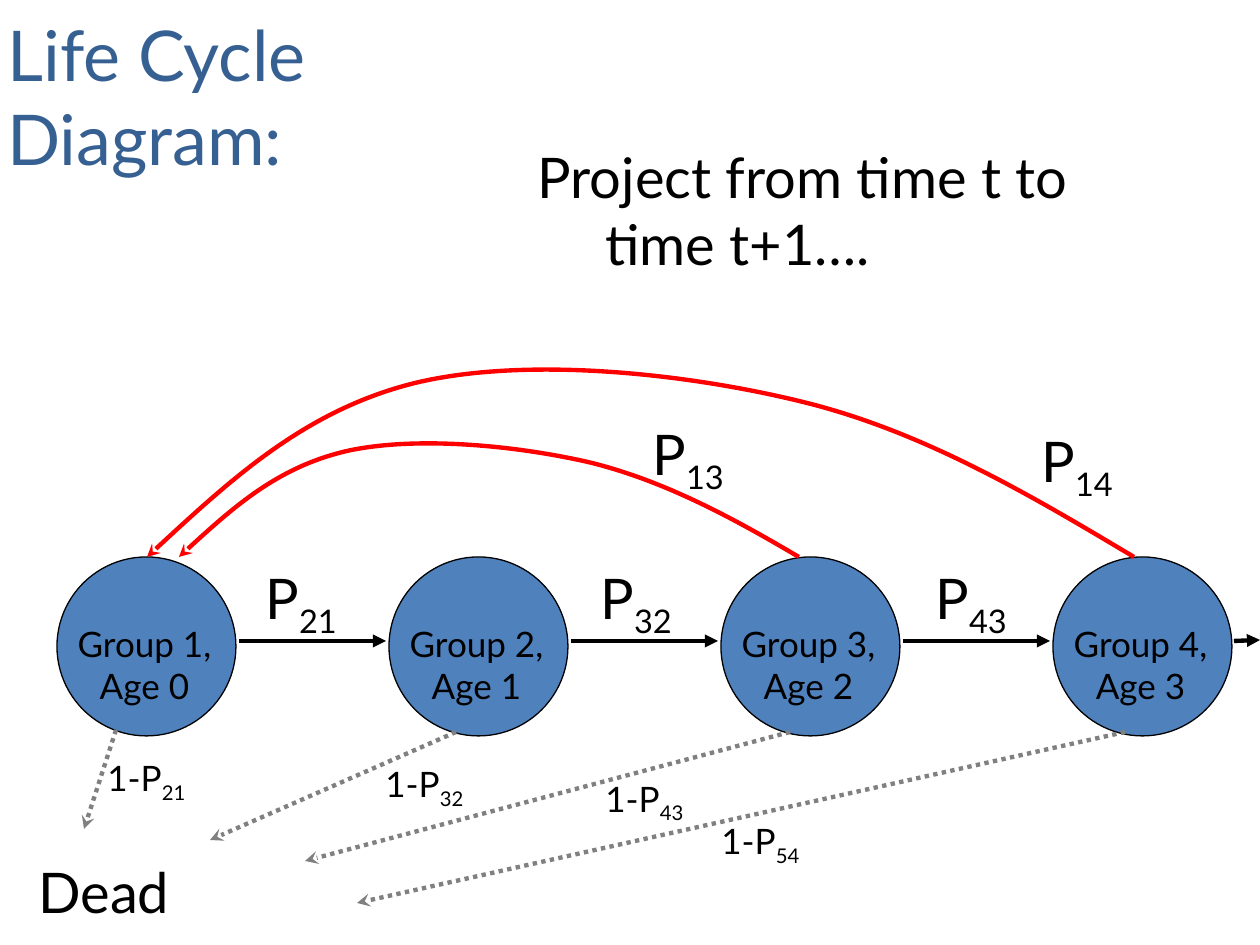
from lxml.etree import SubElement
from pptx import Presentation
from pptx.dml.color import RGBColor
from pptx.enum.dml import MSO_LINE
from pptx.enum.shapes import MSO_CONNECTOR, MSO_SHAPE
from pptx.enum.text import MSO_AUTO_SIZE, PP_ALIGN
from pptx.oxml.ns import qn
from pptx.util import Pt

PX = 914400 / 126
BLACK, BLUE, NAVY, RED, GRAY = "000000", "4F81BD", "376092", "FF0000", "808080"


def px(length):
    return round(length * PX)


def color(hex_string):
    return RGBColor.from_string(hex_string)


class LifeCycleSlide:
    font = "Lato"
    stroke = 2.5
    hanging = 68

    def __init__(self, presentation):
        self.slide = presentation.slides.add_slide(presentation.slide_layouts[6])
        self.shapes = self.slide.shapes

    def text(self, box, paragraphs, size, fill=BLACK, wrap=False,
             centered=False, hanging=True, within=None):
        target = within.shapes if within else self.shapes
        frame = target.add_textbox(*map(px, box)).text_frame
        frame.word_wrap = wrap
        frame.auto_size = MSO_AUTO_SIZE.SHAPE_TO_FIT_TEXT
        for index, runs in enumerate(paragraphs):
            paragraph = frame.add_paragraph() if index else frame.paragraphs[0]
            if centered:
                paragraph.alignment = PP_ALIGN.CENTER
            if hanging:
                properties = paragraph._p.get_or_add_pPr()
                properties.set("marL", str(px(self.hanging)))
                properties.set("indent", str(-px(self.hanging)))
            for position, words in enumerate(runs):
                run = paragraph.add_run()
                run.text = words
                run.font.name = self.font
                run.font.size = Pt(size)
                run.font.color.rgb = color(fill)
                if position:
                    run.font._element.set("baseline", "-25000")

    def circle(self, box, within):
        disc = within.shapes.add_shape(MSO_SHAPE.OVAL, *map(px, box))
        disc.shadow.inherit = False
        disc.fill.solid()
        disc.fill.fore_color.rgb = color(BLUE)
        disc.line.color.rgb = color(BLACK)
        disc.line.width = Pt(0.75)

    def stage(self, left, top, size, label):
        group = self.shapes.add_group_shape()
        self.circle((left, top, size, size), group)
        self.text((left - 4, top + 59, size + 4, 97), [[label]], 20, wrap=True,
                  centered=True, hanging=False, within=group)

    def style_line(self, line, fill, head):
        line.color.rgb = color(fill)
        line.width = Pt(self.stroke)
        SubElement(line._get_or_add_ln(), qn("a:tailEnd"), type=head)

    def arrow(self, start, end, fill=BLACK, head="triangle", dash=None):
        connector = self.shapes.add_connector(
            MSO_CONNECTOR.STRAIGHT, *map(px, start + end))
        if dash:
            connector.line.dash_style = dash
        self.style_line(connector.line, fill, head)
        SubElement(connector._element.spPr, qn("a:effectLst"))

    def curve(self, points):
        builder = self.shapes.build_freeform(*points[0], scale=PX)
        builder.add_line_segments(points[1:], close=False)
        arc = builder.convert_to_shape()
        segments = list(arc._element.iter(qn("a:lnTo")))
        outline = segments[0].getparent()
        for first in range(0, len(segments), 3):
            bezier = SubElement(outline, qn("a:cubicBezTo"))
            for segment in segments[first:first + 3]:
                bezier.append(segment[0])
                outline.remove(segment)
        arc.shadow.inherit = False
        arc.fill.background()
        self.style_line(arc.line, RED, "stealth")


def main():
    presentation = Presentation()
    presentation.slide_width, presentation.slide_height = px(1260), px(945)
    diagram = LifeCycleSlide(presentation)

    diagram.text((525, 136, 651, 149), [["Project from time t to time t+1…."]],
                 32, wrap=True)
    pitch = 332
    for age in range(4):
        diagram.stage(57 + pitch * age, 557, 179, f"Group {age + 1}, Age {age}")
    for step in range(3):
        diagram.arrow((239 + pitch * step, 641), (386 + pitch * step, 641))
    diagram.arrow((1234, 641), (1260, 640))
    diagram.text((26, 851, 163, 81), [["Dead"]], 32)

    diagram.curve([(799, 557), (733, 518), (663, 480), (588, 462), (513, 445),
                   (415, 436), (347, 451), (278, 467), (228, 512), (179, 557)])
    diagram.curve([(1134, 557), (1027, 493), (920, 430), (799, 401), (679, 372),
                   (523, 357), (415, 383), (306, 410), (227, 483), (147, 557)])

    deaths = [
        ((116, 730), (84, 829), (95, 750), "21"),
        ((456, 732), (210, 840), (373, 756), "32"),
        ((790, 732), (305, 861), (593, 771), "43"),
        ((1125, 732), (357, 903), (709, 813), "54"),
    ]
    for start, end, corner, subscript in deaths:
        diagram.arrow(start, end, GRAY, "stealth", MSO_LINE.ROUND_DOT)
        diagram.text(corner + (106, 55), [["1-P", subscript]], 20)

    transitions = [(253 + 335 * step, 557, subscript)
                   for step, subscript in enumerate(["21", "32", "43"])]
    births = [(640, 413, "13"), (1029, 420, "14")]
    for left, top, subscript in transitions + births:
        diagram.text((left, top, 100, 81), [["P", subscript]], 32)

    diagram.text((-5, 5, 331, 183), [["Life Cycle"], ["Diagram:"]], 40, NAVY,
                 hanging=False)
    presentation.save("out.pptx")


if __name__ == "__main__":
    main()
